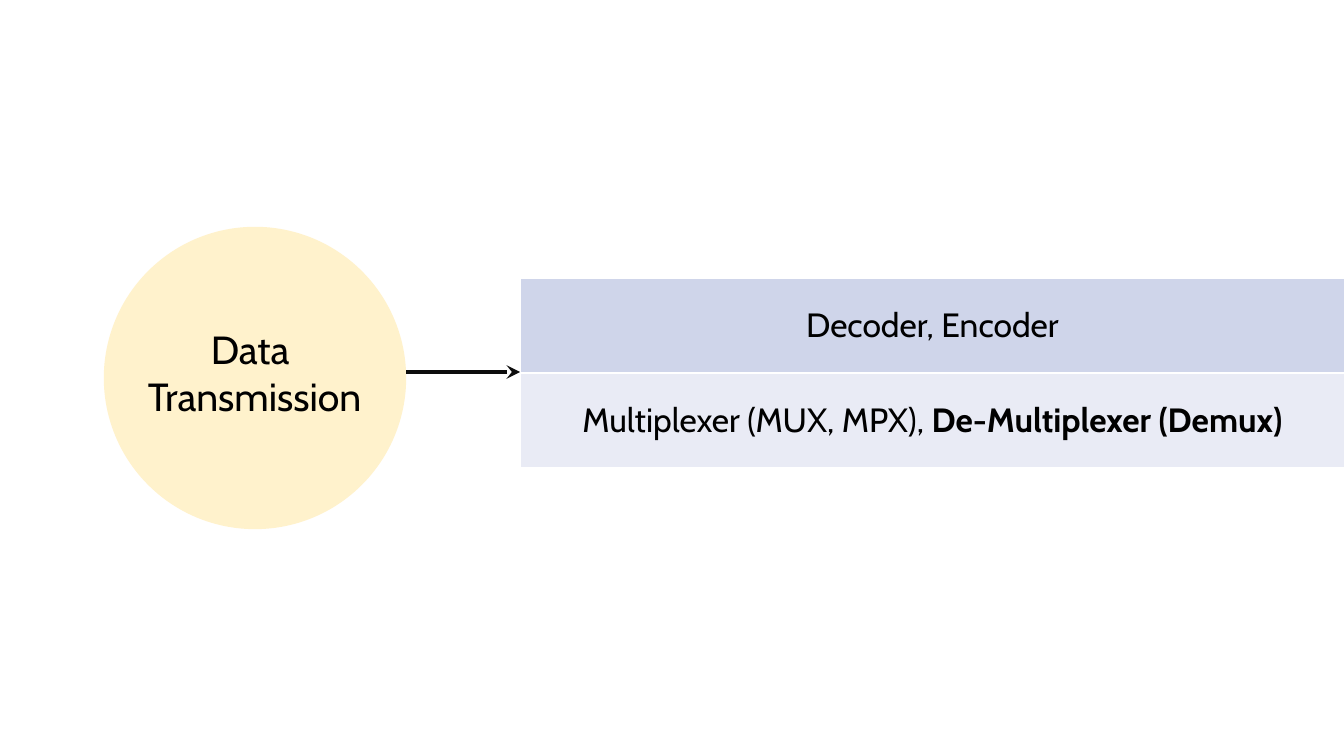
from dataclasses import dataclass

from lxml import etree
from pptx import Presentation
from pptx.dml.color import RGBColor
from pptx.enum.shapes import MSO_CONNECTOR, MSO_SHAPE
from pptx.enum.text import MSO_ANCHOR, MSO_AUTO_SIZE, PP_ALIGN
from pptx.oxml.ns import qn
from pptx.shapes.autoshape import Shape
from pptx.shapes.shapetree import GroupShapes, SlideShapes
from pptx.table import _Cell
from pptx.text.text import TextFrame, _Paragraph
from pptx.util import Pt

STRAIGHT = MSO_CONNECTOR.STRAIGHT
ELLIPSE = MSO_SHAPE.OVAL
RECTANGLE = MSO_SHAPE.RECTANGLE
MIDDLE = MSO_ANCHOR.MIDDLE
GROW = MSO_AUTO_SIZE.SHAPE_TO_FIT_TEXT
CENTER = PP_ALIGN.CENTER


@dataclass(frozen=True)
class Theme:
    font: str = "Cabin"
    topic_size: float = 28
    row_size: float = 24
    text: str = "000000"
    topic_fill: str = "FFF2CC"
    arrow: str = "0D0D0D"
    border: str = "FFFFFF"
    arrow_width: float = 3.25
    border_width: float = 1


@dataclass(frozen=True)
class Box:
    left: float
    top: float
    width: float
    height: float


@dataclass(frozen=True)
class Row:
    fill: str
    text: str
    bold_text: str = ""


THEME = Theme()
CIRCLE = Box(74.16, 162, 216, 216)
LABEL = Box(95.04, 228.24, 173.52, 74.88)
TABLE = Box(371.52, 198.72, 588.96, 135.36)
ARROW_Y = 265.7
TOPIC_LINES = ("Data ", "Transmission")
ROWS = (
    Row("CFD5EA", "Decoder, Encoder"),
    Row("E9EBF5", "Multiplexer (MUX, MPX), ", "De-Multiplexer (Demux)"),
)


def rgb(value: str) -> RGBColor:
    return RGBColor.from_string(value)


def add_text(p: _Paragraph, text: str, *, size: float, bold: bool = False) -> None:
    p.alignment = CENTER
    r = p.add_run()
    r.text = text
    r.font.name = THEME.font
    r.font.size = Pt(size)
    r.font.bold = bold
    r.font.color.rgb = rgb(THEME.text)


def add_topic_shape(shapes: GroupShapes, kind: MSO_SHAPE, box: Box) -> Shape:
    sp = shapes.add_shape(kind, Pt(box.left), Pt(box.top), Pt(box.width), Pt(box.height))
    sp.shadow.inherit = False
    sp.fill.solid()
    sp.fill.fore_color.rgb = rgb(THEME.topic_fill)
    sp.line.fill.background()
    return sp


def fill_label(tf: TextFrame) -> None:
    tf.word_wrap = False
    tf.auto_size = GROW
    for i, line in enumerate(TOPIC_LINES):
        p = tf.add_paragraph() if i else tf.paragraphs[0]
        add_text(p, line, size=THEME.topic_size)


def add_topic(shapes: SlideShapes) -> None:
    group = shapes.add_group_shape()
    add_topic_shape(group.shapes, ELLIPSE, CIRCLE)
    fill_label(add_topic_shape(group.shapes, RECTANGLE, LABEL).text_frame)


def add_arrow(shapes: SlideShapes) -> None:
    start = CIRCLE.left + CIRCLE.width
    arrow = shapes.add_connector(STRAIGHT, Pt(start), Pt(ARROW_Y), Pt(TABLE.left), Pt(ARROW_Y))
    arrow.line.color.rgb = rgb(THEME.arrow)
    arrow.line.width = Pt(THEME.arrow_width)
    etree.SubElement(arrow.line._get_or_add_ln(), qn("a:tailEnd"), type="stealth")
    etree.SubElement(arrow._element.spPr, qn("a:effectLst"))


def set_borders(cell: _Cell) -> None:
    tc_pr = cell._tc.get_or_add_tcPr()
    for i, side in enumerate(("lnL", "lnR", "lnT", "lnB")):
        ln = etree.Element(qn(f"a:{side}"), w=str(Pt(THEME.border_width)))
        fill = etree.SubElement(ln, qn("a:solidFill"))
        etree.SubElement(fill, qn("a:srgbClr"), val=THEME.border)
        tc_pr.insert(i, ln)


def add_circuit_table(shapes: SlideShapes) -> None:
    frame = shapes.add_table(
        len(ROWS), 1, Pt(TABLE.left), Pt(TABLE.top), Pt(TABLE.width), Pt(TABLE.height)
    )
    table = frame.table
    table.first_row = False
    table.horz_banding = False
    for i, row in enumerate(ROWS):
        table.rows[i].height = Pt(TABLE.height / len(ROWS))
        cell = table.cell(i, 0)
        cell.vertical_anchor = MIDDLE
        cell.fill.solid()
        cell.fill.fore_color.rgb = rgb(row.fill)
        set_borders(cell)
        p = cell.text_frame.paragraphs[0]
        add_text(p, row.text, size=THEME.row_size)
        if row.bold_text:
            add_text(p, row.bold_text, size=THEME.row_size, bold=True)


def main() -> None:
    prs = Presentation()
    prs.slide_width = Pt(960)
    prs.slide_height = Pt(540)
    s = prs.slides.add_slide(prs.slide_layouts[6])
    add_topic(s.shapes)
    add_arrow(s.shapes)
    add_circuit_table(s.shapes)
    prs.save("out.pptx")


if __name__ == "__main__":
    main()
